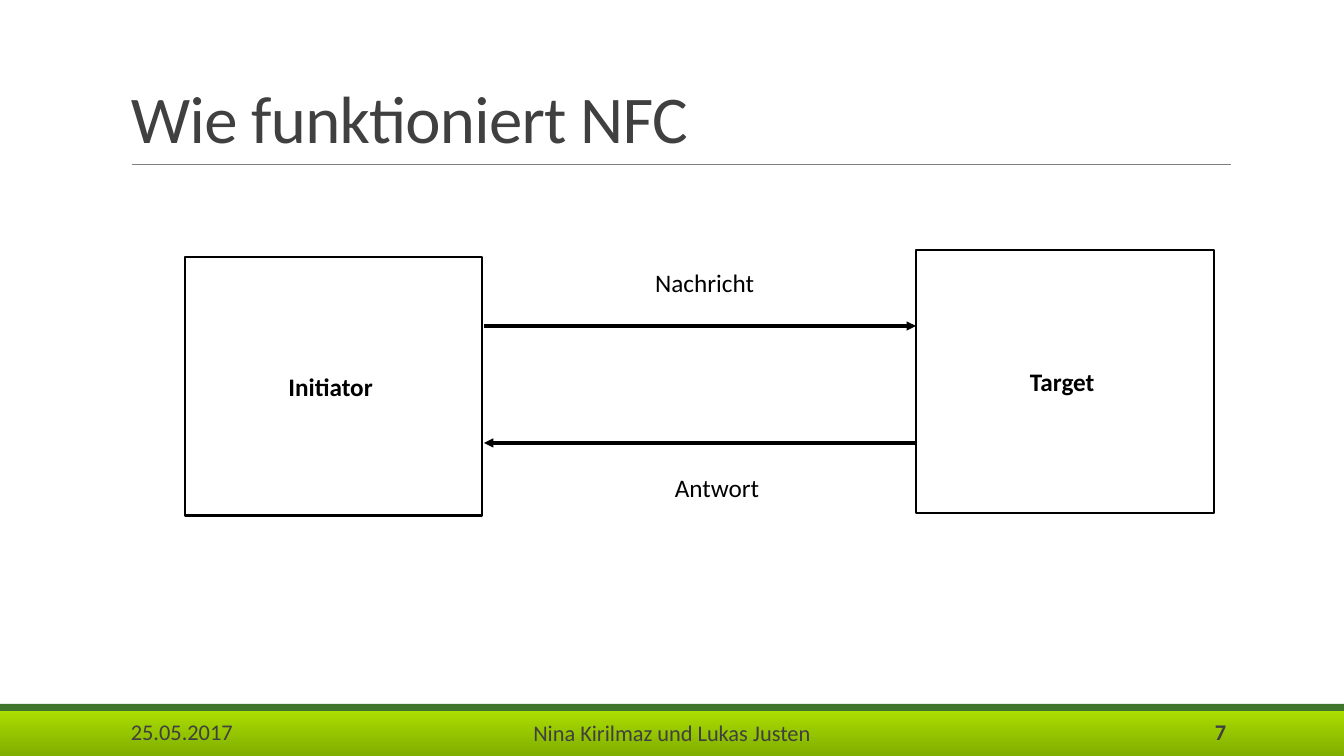
import pptx
import pptx.util
from pptx.dml.color import RGBColor
from pptx.enum.shapes import MSO_CONNECTOR, MSO_SHAPE
from pptx.enum.text import MSO_ANCHOR, PP_ALIGN
from pptx.oxml.ns import qn
from lxml import etree

BLACK = RGBColor(0x00, 0x00, 0x00)
WHITE = RGBColor(0xFF, 0xFF, 0xFF)
GRAY = RGBColor(0x80, 0x80, 0x80)
DARK = RGBColor(0x40, 0x40, 0x40)
GREEN = RGBColor(0x3F, 0x76, 0x2B)
LIME_DARK = RGBColor(0x7F, 0xAD, 0x00)
LIME = RGBColor(0xB0, 0xE3, 0x00)

LEFT, CENTER, RIGHT = PP_ALIGN.LEFT, PP_ALIGN.CENTER, PP_ALIGN.RIGHT
TOP, MIDDLE, BOTTOM = MSO_ANCHOR.TOP, MSO_ANCHOR.MIDDLE, MSO_ANCHOR.BOTTOM

# Content: places are left, top, width, height in px
WIDTH, HEIGHT = 1344, 756
FOOTER = {"size": 16, "color": DARK}
LABEL = {"size": 18, "color": BLACK}
TEXTS = [
    ("Wie funktioniert NFC", (121, 2, 988, 160), LEFT, BOTTOM,
     {"size": 47.7, "color": DARK, "line_spacing": 0.85, "tracking": -50}),
    ("Nachricht ", (596, 250, 223, 65), CENTER, MIDDLE, LABEL),
    ("Antwort", (589, 454, 256, 67), CENTER, MIDDLE, LABEL),
    ("25.05.2017", (121, 712, 272, 40), LEFT, MIDDLE, FOOTER),
    ("Nina Kirilmaz und Lukas Justen", (512, 714, 320, 37), CENTER, TOP, FOOTER),
    ("7", (1092, 712, 144, 40), RIGHT, MIDDLE, {**FOOTER, "bold": True}),
]
DEVICES = [
    ("Initiator ", (185, 257, 297, 259)),
    ("Target ", (916, 250, 298, 263)),
]
# from x, to x, y, colour, points, arrow
LINES = [
    (132, 1231, 164, GRAY, 0.5, False),
    (484, 916, 326, BLACK, 2.25, True),
    (916, 484, 443, BLACK, 2.25, True),
]


def px(value):
    return pptx.util.Emu(round(value * 914400 / 100.8))


def write(shape, text, align, anchor, look):
    frame = shape.text_frame
    frame.word_wrap = True
    frame.vertical_anchor = anchor
    para = frame.paragraphs[0]
    para.alignment = align
    if "line_spacing" in look:
        para.line_spacing = look["line_spacing"]
    span = para.add_run()
    span.text = text
    formats = {"name": "Calibri", "size": pptx.util.Pt(look["size"]),
               "bold": look.get("bold", False)}
    for name, value in formats.items():
        setattr(span.font, name, value)
    span.font.color.rgb = look["color"]
    if "tracking" in look:
        span.font._element.set("spc", str(look["tracking"]))


def add_rectangle(page, place):
    box = page.shapes.add_shape(MSO_SHAPE.RECTANGLE, *map(px, place))
    box.shadow.inherit = False
    box.line.fill.background()
    return box


def add_line(page, start, end, y, color, points, arrow):
    line = page.shapes.add_connector(
        MSO_CONNECTOR.STRAIGHT, px(start), px(y), px(end), px(y))
    line.line.color.rgb = color
    line.line.width = pptx.util.Pt(points)
    if arrow:
        etree.SubElement(line.line._get_or_add_ln(), qn("a:tailEnd"), type="triangle")
    etree.SubElement(line._element.spPr, qn("a:effectLst"))


def main():
    deck = pptx.Presentation()
    deck.slide_width, deck.slide_height = px(WIDTH), px(HEIGHT)
    page = deck.slides.add_slide(deck.slide_layouts[6])

    # Footer band, darker towards the bottom
    band = add_rectangle(page, (0, 706, WIDTH, HEIGHT - 706))
    band.fill.gradient()
    band.fill.gradient_angle = 90
    for stop, color in zip(band.fill.gradient_stops, (LIME_DARK, LIME)):
        stop.color.rgb = color
    stripe = add_rectangle(page, (0, 704, WIDTH, 7))
    stripe.fill.solid()
    stripe.fill.fore_color.rgb = GREEN

    # The two devices
    for name, place in DEVICES:
        box = add_rectangle(page, place)
        box.fill.solid()
        box.fill.fore_color.rgb = WHITE
        box.line.color.rgb = BLACK
        box.line.width = pptx.util.Pt(2)
        write(box, name, CENTER, MIDDLE, {**LABEL, "bold": True})

    # Title rule and message arrows
    for line in LINES:
        add_line(page, *line)

    # Title, arrow labels and footer
    for text, place, align, anchor, look in TEXTS:
        box = page.shapes.add_textbox(*map(px, place))
        write(box, text, align, anchor, look)

    deck.save("out.pptx")


if __name__ == "__main__":
    main()
